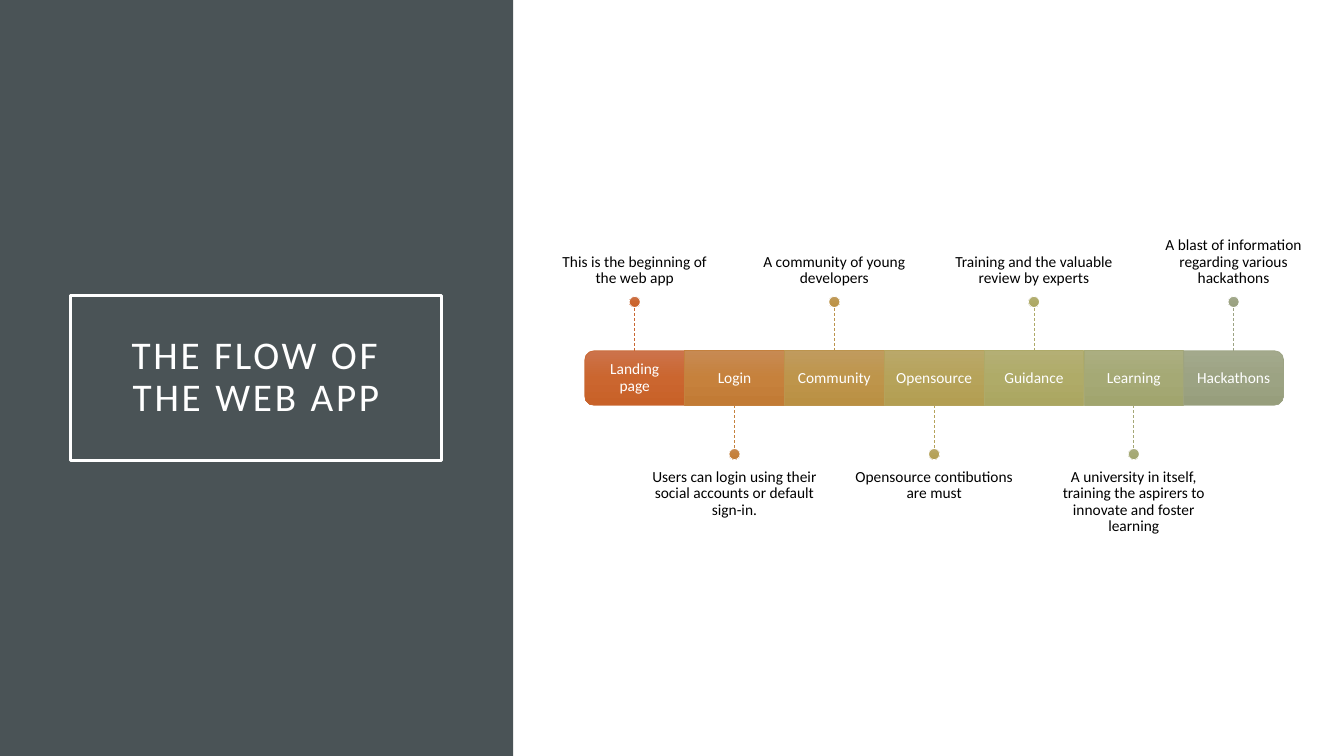
import copy
import pptx
import pptx.util
import pptx.dml.color
import pptx.enum.dml
import pptx.enum.shapes
import pptx.enum.text
import pptx.oxml.ns
import lxml.etree

inch = pptx.util.Inches
kinds = pptx.enum.shapes.MSO_SHAPE
anchors = pptx.enum.text.MSO_ANCHOR

colors = {"panel": "4A5356", "white": "FFFFFF", "black": "000000"}
# label, note, gradient from top to bottom, line color
steps = [
    ("Landing page", "This is the beginning of the web app",
     ("CC734B", "CB662F", "C86128"), "C96731"),
    ("Login", "Users can login using their social accounts or default sign-in.",
     ("C78A53", "C6813C", "C27B35"), "C4813E"),
    ("Community", "A community of young developers",
     ("C09B5E", "BE954B", "BA9043"), "BC944D"),
    ("Opensource", "Opensource contibutions are must",
     ("BAA86A", "B6A35A", "B39E52"), "B5A25B"),
    ("Guidance", "Training and the valuable review by experts",
     ("B4AF75", "AFAB68", "ABA661"), "AEAA69"),
    ("Learning", "A university in itself, training the aspirers to innovate and foster learning",
     ("ABAE81", "A5A975", "A1A56E"), "A5A876"),
    ("Hackathons", "A blast of information regarding various hackathons",
     ("A3A98C", "9CA383", "979E7C"), "9CA383"),
]

deck = pptx.Presentation()
deck.slide_width, deck.slide_height = inch(13.33), inch(7.5)
slide = deck.slides.add_slide(deck.slide_layouts[6])
shapes = slide.shapes


def add_form(kind, left, top, width, height, fill=None, line=None, weight=0.5):
    """Draw a preset shape; fill is a hex color, three gradient colors or None."""
    form = shapes.add_shape(kind, inch(left), inch(top), inch(width), inch(height))
    form.shadow.inherit = False
    if fill is None:
        form.fill.background()
    elif isinstance(fill, str):
        form.fill.solid()
        form.fill.fore_color.rgb = pptx.dml.color.RGBColor.from_string(fill)
    else:
        form.fill.gradient()
        form.fill.gradient_angle = 270
        grad = form.element.spPr.find(pptx.oxml.ns.qn("a:gradFill"))
        grad.set("rotWithShape", "0")  # keeps the light edge on top of turned shapes
        stops = grad.find(pptx.oxml.ns.qn("a:gsLst"))
        stops.append(copy.deepcopy(stops[0]))
        for stop, share, tint in zip(form.fill.gradient_stops, (0, 0.5, 1), fill):
            stop.position = share
            stop.color.rgb = pptx.dml.color.RGBColor.from_string(tint)
    if line:
        form.line.color.rgb = pptx.dml.color.RGBColor.from_string(line)
        form.line.width = pptx.util.Pt(weight)
    else:
        form.line.fill.background()
    return form


def set_text(shape, text, size, color, anchor, insets):
    """Fill a shape with one centered paragraph; insets run left, top, right, bottom."""
    frame = shape.text_frame
    frame.word_wrap = True
    frame.vertical_anchor = anchor
    (frame.margin_left, frame.margin_top,
     frame.margin_right, frame.margin_bottom) = map(inch, insets)
    para = frame.paragraphs[0]
    para.text = text
    para.alignment = pptx.enum.text.PP_ALIGN.CENTER
    para.line_spacing = 0.9
    para.font.name = "Calibri"
    para.font.size = pptx.util.Pt(size)
    para.font.color.rgb = pptx.dml.color.RGBColor.from_string(color)
    return para


# Title panel
add_form(kinds.RECTANGLE, 0, 0, 5.09, 7.5, colors["panel"])
title = add_form(kinds.RECTANGLE, 0.7, 2.93, 3.68, 1.64, None, colors["white"], 2.5)
para = set_text(title, "THE FLOW OF THE WEB APP", 28, colors["white"],
                anchors.MIDDLE, (0.2, 0.2, 0.2, 0.2))
para.runs[0].font._element.set("spc", "200")

# Timeline: equal cells, notes above and below in turn
start, cell = 5.8, 0.99
top, tall = 3.48, 0.54
stem, dot = 0.43, 0.11
wide, high = 1.65, 1.89
pad = 0.09

for i, (label, note, grad, line) in enumerate(steps):
    left = start + i * cell
    mid = left + cell / 2
    if i in (0, len(steps) - 1):
        bar = add_form(kinds.ROUND_2_SAME_RECTANGLE, mid - tall / 2,
                       top + tall / 2 - cell / 2, tall, cell, grad, line)
        bar.rotation = 90 if i else 270
    else:
        add_form(kinds.RECTANGLE, left, top, cell, tall, grad, line)
    box = shapes.add_textbox(inch(left), inch(top), inch(cell), inch(tall))
    set_text(box, label, 11, colors["white"], anchors.MIDDLE, (pad,) * 4)

    if i % 2 == 0:
        near, far = top, top - stem
        spot = far - dot
        edge, anchor, insets = spot - high, anchors.BOTTOM, (0, 0, 0, pad)
    else:
        near, far = top + tall, top + tall + stem
        spot = far
        edge, anchor, insets = spot + dot, anchors.TOP, (0, pad, 0, 0)

    box = shapes.add_textbox(inch(mid - wide / 2), inch(edge), inch(wide), inch(high))
    set_text(box, note, 11, colors["black"], anchor, insets)

    link = shapes.add_connector(pptx.enum.shapes.MSO_CONNECTOR.STRAIGHT,
                                inch(mid), inch(near), inch(mid), inch(far))
    link.line.color.rgb = pptx.dml.color.RGBColor.from_string(line)
    link.line.width = pptx.util.Pt(0.5)
    link.line.dash_style = pptx.enum.dml.MSO_LINE.DASH
    lxml.etree.SubElement(link.element.spPr, pptx.oxml.ns.qn("a:effectLst"))
    add_form(kinds.OVAL, mid - dot / 2, spot, dot, dot, grad, colors["white"])

deck.save("out.pptx")
